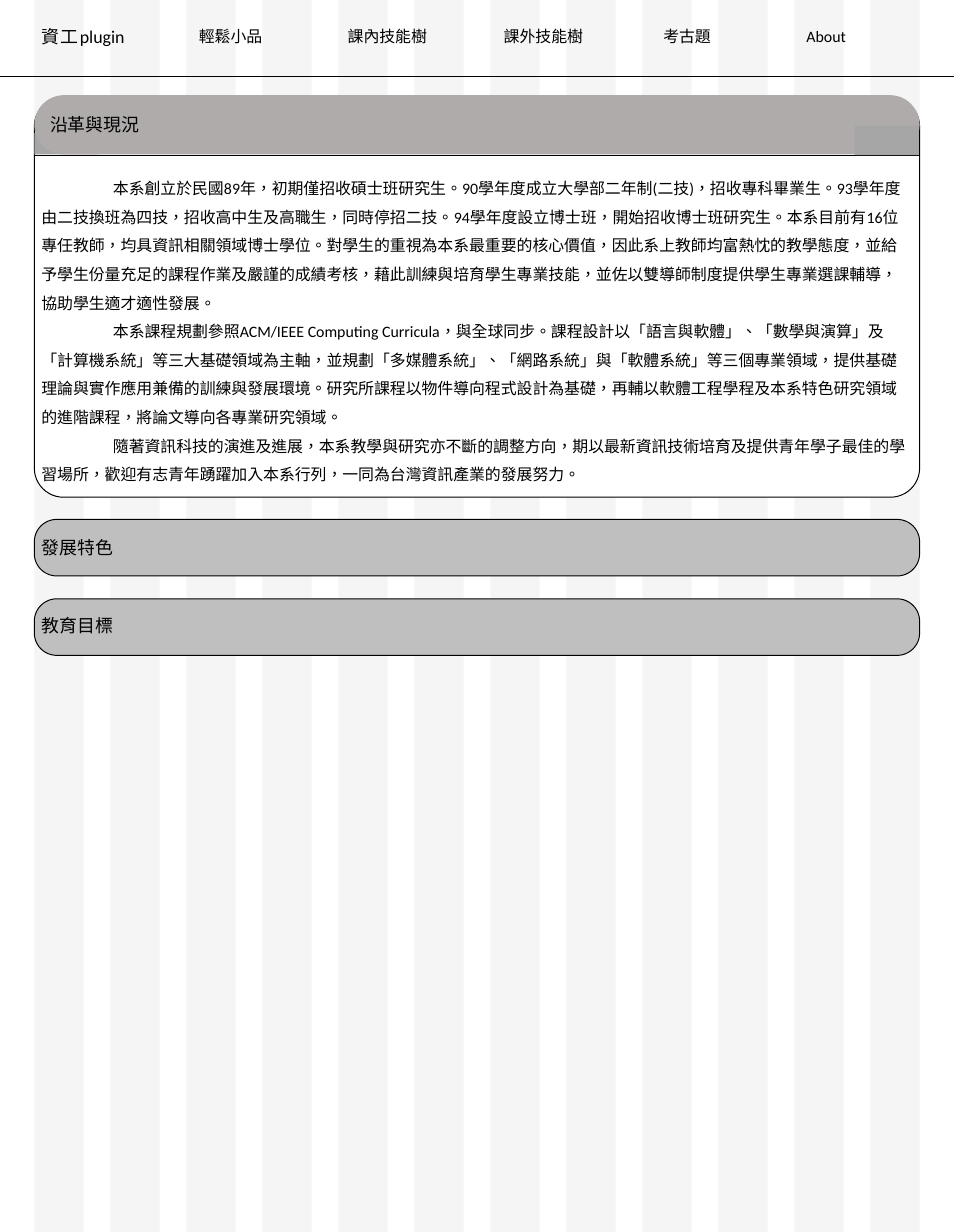
from dataclasses import dataclass

from lxml import etree
from pptx import Presentation
from pptx.dml.color import RGBColor
from pptx.enum import shapes, text
from pptx.oxml import ns
from pptx.util import Inches, Pt


@dataclass(frozen=True)
class Theme:
    font: str = "Calibri"
    language: str = "zh-TW"
    ink: str = "000000"
    paper: str = "FFFFFF"
    heading: str = "AFABAB"
    corner: str = "A6A6A6"
    collapsed: str = "BFBFBF"
    stripe_alpha: int = 4
    title_size: int = 18
    body_size: int = 16
    outline: float = 1
    rule: float = 0.5


@dataclass(frozen=True)
class Box:
    left: float
    top: float
    width: float
    height: float

    def emu(self) -> tuple:
        return tuple(map(Inches, (self.left, self.top, self.width, self.height)))


@dataclass(frozen=True)
class NavItem:
    label: str
    left: float
    width: float


@dataclass(frozen=True)
class CollapsedSection:
    title: str
    bar_top: float
    title_top: float


THEME = Theme()
PAGE_WIDTH, PAGE_HEIGHT = 13.33, 17.22
LEFT, WIDTH = 0.48, 12.37
STRIPE_COUNT, STRIPE_WIDTH = 12, 0.69
BAR_HEIGHT = 0.79
HEADING_BOTTOM = 2.17
RECT = shapes.MSO_SHAPE.RECTANGLE
ROUNDED = shapes.MSO_SHAPE.ROUNDED_RECTANGLE
MIDDLE = text.MSO_ANCHOR.MIDDLE
JUSTIFY = text.PP_ALIGN.JUSTIFY

NAV_ITEMS = [
    NavItem("輕鬆小品", 2.68, 1.24),
    NavItem("課內技能樹", 4.76, 1.34),
    NavItem("課外技能樹", 6.94, 1.39),
    NavItem("考古題", 9.17, 1.16),
    NavItem("About", 11.17, 0.78),
]
COLLAPSED_SECTIONS = [
    CollapsedSection("發展特色", 7.26, 7.25),
    CollapsedSection("教育目標", 8.37, 8.35),
]
HISTORY = [
    "本系創立於民國89年,初期僅招收碩士班研究生。90學年度成立大學部二年制(二技),"
    "招收專科畢業生。93學年度由二技換班為四技,招收高中生及高職生,同時停招二技。"
    "94學年度設立博士班,開始招收博士班研究生。本系目前有16位專任教師,"
    "均具資訊相關領域博士學位。對學生的重視為本系最重要的核心價值,"
    "因此系上教師均富熱忱的教學態度,並給予學生份量充足的課程作業及嚴謹的成績考核,"
    "藉此訓練與培育學生專業技能,並佐以雙導師制度提供學生專業選課輔導,"
    "協助學生適才適性發展。",
    "本系課程規劃參照ACM/IEEE Computing Curricula,與全球同步。"
    "課程設計以「語言與軟體」、「數學與演算」及「計算機系統」等三大基礎領域為主軸,"
    "並規劃「多媒體系統」、「網路系統」與「軟體系統」等三個專業領域,"
    "提供基礎理論與實作應用兼備的訓練與發展環境。"
    "研究所課程以物件導向程式設計為基礎,再輔以軟體工程學程及本系特色研究領域的進階課程,"
    "將論文導向各專業研究領域。",
    "隨著資訊科技的演進及進展,本系教學與研究亦不斷的調整方向,"
    "期以最新資訊技術培育及提供青年學子最佳的學習場所,"
    "歡迎有志青年踴躍加入本系行列,一同為台灣資訊產業的發展努力。",
]


def write(frame, content: str, size: int, align=text.PP_ALIGN.LEFT,
          anchor=MIDDLE, spacing: float = 1, indent: float = 0) -> None:
    frame.text = content.replace(",", "\uff0c")
    frame.word_wrap = True
    frame.vertical_anchor = anchor
    for paragraph in frame.paragraphs:
        paragraph.alignment = align
        paragraph.line_spacing = spacing
        if indent:
            paragraph._p.get_or_add_pPr().set("indent", str(Inches(indent)))
        for run in paragraph.runs:
            run.font.name = THEME.font
            run.font.size = Pt(size)
            run.font.color.rgb = RGBColor.from_string(THEME.ink)
            run._r.get_or_add_rPr().set("lang", THEME.language)


def add_block(parent, box: Box, fill: str, kind=RECT,
              rounding: float = 0, outlined: bool = False):
    block = parent.add_shape(kind, *box.emu())
    block.shadow.inherit = False
    block.fill.solid()
    block.fill.fore_color.rgb = RGBColor.from_string(fill)
    if rounding:
        block.adjustments[0] = rounding
    if outlined:
        block.line.color.rgb = RGBColor.from_string(THEME.ink)
        block.line.width = Pt(THEME.outline)
    else:
        block.line.fill.background()
    return block


def add_label(parent, box: Box, content: str, size: int, **layout):
    label = parent.add_textbox(*box.emu())
    write(label.text_frame, content, size, **layout)
    return label


def add_rule(parent, left: float, right: float, y: float) -> None:
    rule = parent.add_connector(shapes.MSO_CONNECTOR.STRAIGHT,
                                Inches(left), Inches(y), Inches(right), Inches(y))
    rule.line.color.rgb = RGBColor.from_string(THEME.ink)
    rule.line.width = Pt(THEME.rule)
    etree.SubElement(rule._element.spPr, ns.qn("a:effectLst"))


def add_stripes(parent) -> None:
    stripes = parent.add_group_shape().shapes
    pitch = (WIDTH - STRIPE_WIDTH) / (STRIPE_COUNT - 1)
    for column in range(STRIPE_COUNT):
        box = Box(LEFT + column * pitch, 0, STRIPE_WIDTH, PAGE_HEIGHT)
        stripe = add_block(stripes, box, THEME.ink)
        color = stripe._element.spPr.find(".//" + ns.qn("a:srgbClr"))
        etree.SubElement(color, ns.qn("a:alpha"), val=str(THEME.stripe_alpha * 1000))


deck = Presentation()
deck.slide_width, deck.slide_height = Inches(PAGE_WIDTH), Inches(PAGE_HEIGHT)
page = deck.slides.add_slide(deck.slide_layouts[6]).shapes

# Column stripes
add_stripes(page)

# Navigation bar
add_rule(page, 0, PAGE_WIDTH, 1.07)
add_label(page, Box(LEFT, 0.26, 1.36, 0.5), "資工plugin ", THEME.title_size, align=JUSTIFY)
for item in NAV_ITEMS:
    nav_label = add_label(page, Box(item.left, 0.32, item.width, 0.37), item.label,
                          THEME.body_size, align=JUSTIFY, anchor=text.MSO_ANCHOR.TOP)
    nav_label.text_frame.auto_size = text.MSO_AUTO_SIZE.SHAPE_TO_FIT_TEXT

# Collapsed sections
for section in COLLAPSED_SECTIONS:
    add_block(page, Box(LEFT, section.bar_top, WIDTH, BAR_HEIGHT), THEME.collapsed,
              ROUNDED, 0.396, outlined=True)
    add_label(page, Box(LEFT, section.title_top, WIDTH, BAR_HEIGHT), section.title,
              THEME.title_size)

# Expanded section: panel and body
add_block(page, Box(LEFT, 1.36, WIDTH, 5.59), THEME.paper, ROUNDED, 0.073, outlined=True)
add_label(page, Box(LEFT, HEADING_BOTTOM, WIDTH, 4.79), "\n".join(HISTORY),
          THEME.body_size, spacing=1.5, indent=1)

# Expanded section: heading with squared lower corners
add_rule(page, LEFT, LEFT + WIDTH, HEADING_BOTTOM)
add_block(page, Box(LEFT, 1.86, 0.9, 0.3), THEME.corner)
heading = add_block(page, Box(LEFT, 1.33, WIDTH, 0.83), THEME.heading, ROUNDED, 0.5)
write(heading.text_frame, "沿革與現況", THEME.title_size)
add_block(page, Box(11.94, 1.76, 0.9, 0.41), THEME.corner)

deck.save("out.pptx")
